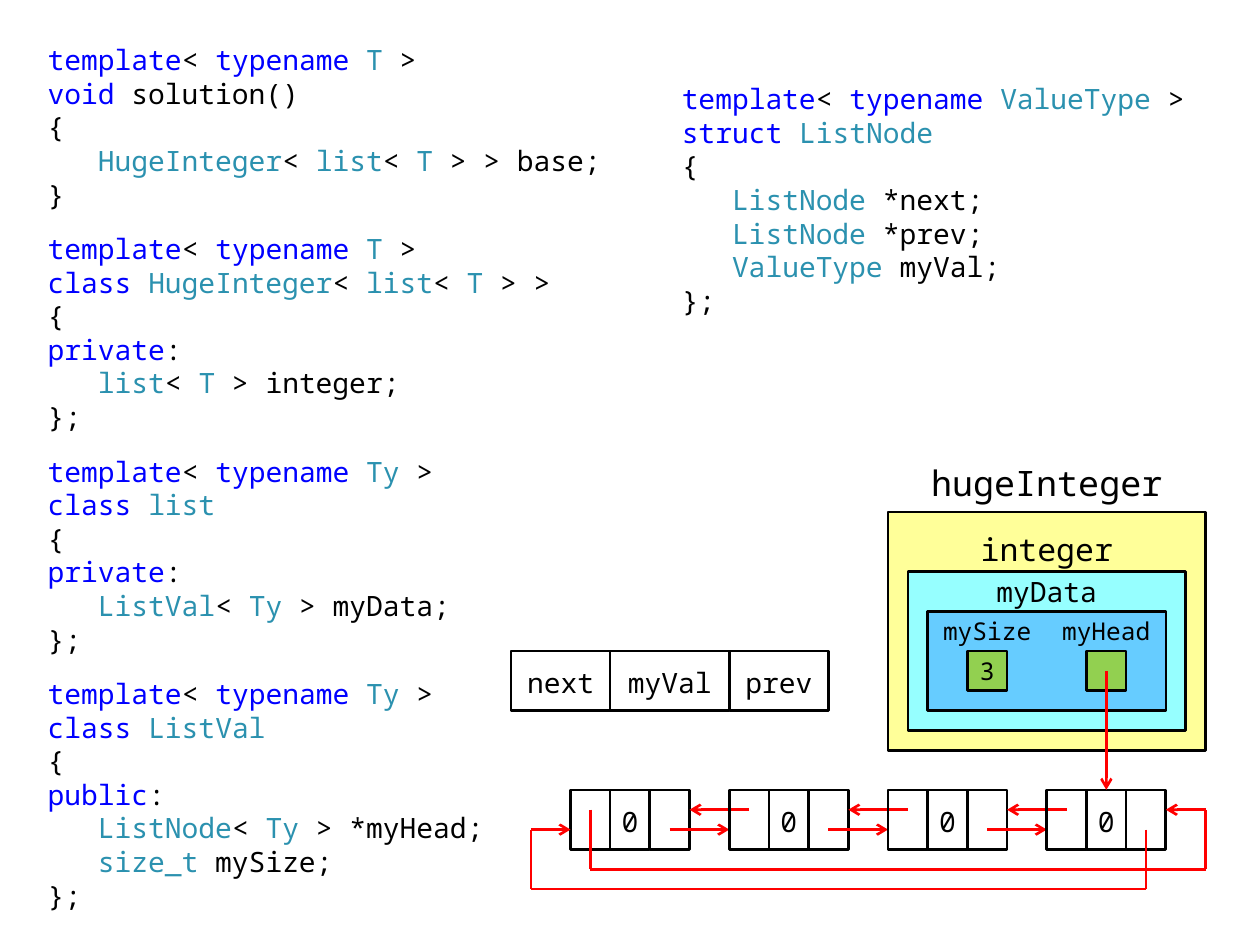
import itertools

import lxml.etree
import pptx
import pptx.dml.color
import pptx.enum.shapes
import pptx.enum.text
import pptx.oxml.ns
import pptx.util

Pt = pptx.util.Pt
SHAPE = pptx.enum.shapes.MSO_SHAPE
FONT = "Noto Sans Mono"
BLACK, RED, GREEN = "000000", "FF0000", "92D050"
KEYWORD_BLUE, TYPE_TEAL = "0000FF", "2B91AF"
KEYWORDS = {"template", "typename", "void", "class", "struct", "private", "public"}
TYPES = {"T", "Ty", "HugeInteger", "list", "ListVal", "ListNode", "size_t", "ValueType"}

UNIT = 11.34  # side of one diagram grid square
DIAGRAM_LEFT, DIAGRAM_TOP = 292, 292.6
NODE_PITCH, NODE_COUNT = 8, 4
CELL_INSETS = (7.2, 4.3, 7.2, 2.9)
MEMBER_INSETS = (2.9, 3.6, 2.9, 3.6)

SOLUTION_CODE = [
    """template< typename T >
void solution()
{
   HugeInteger< list< T > > base;
}""",
    """template< typename T >
class HugeInteger< list< T > >
{
private:
   list< T > integer;
};""",
    """template< typename Ty >
class list
{
private:
   ListVal< Ty > myData;
};""",
    """template< typename Ty >
class ListVal
{
public:
   ListNode< Ty > *myHead;
   size_t mySize;
};""",
]
NODE_CODE = [
    """template< typename ValueType >
struct ListNode
{
   ListNode *next;
   ListNode *prev;
   ValueType myVal;
};""",
]


def rgb(colour):
    return pptx.dml.color.RGBColor.from_string(colour)


def add_run(paragraph, text, size, colour=BLACK):
    run = paragraph.add_run()
    run.text = text
    run.font.name = FONT
    run.font.size = Pt(size)
    run.font.color.rgb = rgb(colour)


def token_colour(token):
    if token in KEYWORDS:
        return KEYWORD_BLUE
    return TYPE_TEAL if token in TYPES else BLACK


def add_code(slide, left, top, width, height, declarations):
    """Places declarations one under another, with syntax colours."""
    frame = slide.shapes.add_textbox(Pt(left), Pt(top), Pt(width), Pt(height)).text_frame
    frame.word_wrap = True
    paragraph = None
    for declaration in declarations:
        for number, code_line in enumerate(declaration.split("\n")):
            is_first = paragraph is None
            paragraph = frame.paragraphs[0] if is_first else frame.add_paragraph()
            if number == 0 and not is_first:
                paragraph.space_before = Pt(12)
            for _, letters in itertools.groupby(code_line, lambda c: c.isalnum() or c == "_"):
                token = "".join(letters)
                add_run(paragraph, token, 16, token_colour(token))


def grid_box(column, row, columns, rows):
    """Turns grid squares into left, top, width and height."""
    return (Pt(DIAGRAM_LEFT + column * UNIT), Pt(DIAGRAM_TOP + row * UNIT),
            Pt(columns * UNIT), Pt(rows * UNIT))


def write_centred(shape, text, size, insets):
    frame = shape.text_frame
    frame.word_wrap = False
    frame.vertical_anchor = pptx.enum.text.MSO_ANCHOR.MIDDLE
    (frame.margin_left, frame.margin_top,
     frame.margin_right, frame.margin_bottom) = map(Pt, insets)
    paragraph = frame.paragraphs[0]
    paragraph.alignment = pptx.enum.text.PP_ALIGN.CENTER
    add_run(paragraph, text, size)


def add_caption(slide, box, text, size, insets):
    write_centred(slide.shapes.add_textbox(*grid_box(*box)), text, size, insets)


def add_box(slide, box, text="", size=16, fill=None, outlined=True,
            preset=SHAPE.RECTANGLE, insets=CELL_INSETS):
    shape = slide.shapes.add_shape(preset, *grid_box(*box))
    shape.shadow.inherit = False
    if fill:
        shape.fill.solid()
        shape.fill.fore_color.rgb = rgb(fill)
    else:
        shape.fill.background()
    if outlined:
        shape.line.color.rgb = rgb(BLACK)
        shape.line.width = Pt(1.5)
    else:
        shape.line.fill.background()
    if text:
        write_centred(shape, text, size, insets)


def add_wire(slide, *corners, arrow=True):
    """Joins grid points by straight lines; the last one may carry an arrowhead."""
    for start, end in itertools.pairwise(corners):
        ends = [Pt(origin + place * UNIT) for point in (start, end)
                for origin, place in zip((DIAGRAM_LEFT, DIAGRAM_TOP), point)]
        wire = slide.shapes.add_connector(pptx.enum.shapes.MSO_CONNECTOR.STRAIGHT, *ends)
        wire.line.color.rgb = rgb(RED)
        wire.line.width = Pt(1.5)
        qn = pptx.oxml.ns.qn
        if arrow and end == corners[-1]:
            lxml.etree.SubElement(wire.line._get_or_add_ln(), qn("a:tailEnd"), type="arrow")
        lxml.etree.SubElement(wire._element.spPr, qn("a:effectLst"))


def add_object(slide, column, row):
    """Draws the nested hugeInteger object with its members."""
    for inset, top, columns, rows, fill in ((0, 0, 16, 12, "FFFF99"),
                                            (1, 3, 14, 8, "96FFFF"),
                                            (2, 5, 12, 5, "66CCFF")):
        add_box(slide, (column + inset, row + top, columns, rows), fill=fill,
                preset=SHAPE.FLOWCHART_PROCESS)
    add_caption(slide, (column + 1, row - 3, 14, 3), "hugeInteger", 20, (7.2, 3.6, 7.2, 3.6))
    add_caption(slide, (column + 4, row, 8, 3), "integer", 18, (5.8, 8.6, 5.8, 0))
    add_caption(slide, (column + 4, row + 3, 8, 2), "myData", 16, (5.8, 0, 5.8, 0))
    for offset, member, value in ((2, "mySize", "3"), (8, "myHead", "")):
        add_box(slide, (column + offset, row + 5, 6, 2), member, 14, outlined=False,
                preset=SHAPE.FLOWCHART_PROCESS, insets=MEMBER_INSETS)
        add_box(slide, (column + offset + 2, row + 7, 2, 2), value, 14, GREEN,
                insets=(7.2, 3.6, 7.2, 3.6))


def add_cells(slide, column, row, cells):
    for text, columns in cells:
        add_box(slide, (column, row, columns, 3), text)
        column += columns


def add_ring(slide, column, row):
    """Draws the circular list of nodes and the links between them."""
    for index in range(NODE_COUNT):
        left = column + index * NODE_PITCH
        add_cells(slide, left, row, (("", 2), ("0", 2), ("", 2)))
        if index < NODE_COUNT - 1:
            add_wire(slide, (left + 9, row + 1), (left + 6, row + 1))
            add_wire(slide, (left + 5, row + 2), (left + 8, row + 2))
    end = column + (NODE_COUNT - 1) * NODE_PITCH + 6
    add_wire(slide, (end - 1, row + 2), (end - 1, row + 5), (column - 2, row + 5),
             (column - 2, row + 2), (column, row + 2))
    add_wire(slide, (column + 1, row + 1), (column + 1, row + 4), (end + 2, row + 4),
             (end + 2, row + 1), (end, row + 1))


def main():
    deck = pptx.Presentation()
    deck.slide_width, deck.slide_height = Pt(720), Pt(540)
    slide = deck.slides.add_slide(deck.slide_layouts[6])
    add_code(slide, 20.2, 20.9, 340, 510.5, SOLUTION_CODE)
    add_code(slide, 382.5, 43.2, 317.5, 147.6, NODE_CODE)
    add_object(slide, 19, 0)
    add_cells(slide, 0, 7, (("next", 5), ("myVal", 6), ("prev", 5)))
    add_ring(slide, 3, 14)
    add_wire(slide, (30, 8), (30, 14))
    deck.save("out.pptx")


if __name__ == "__main__":
    main()
